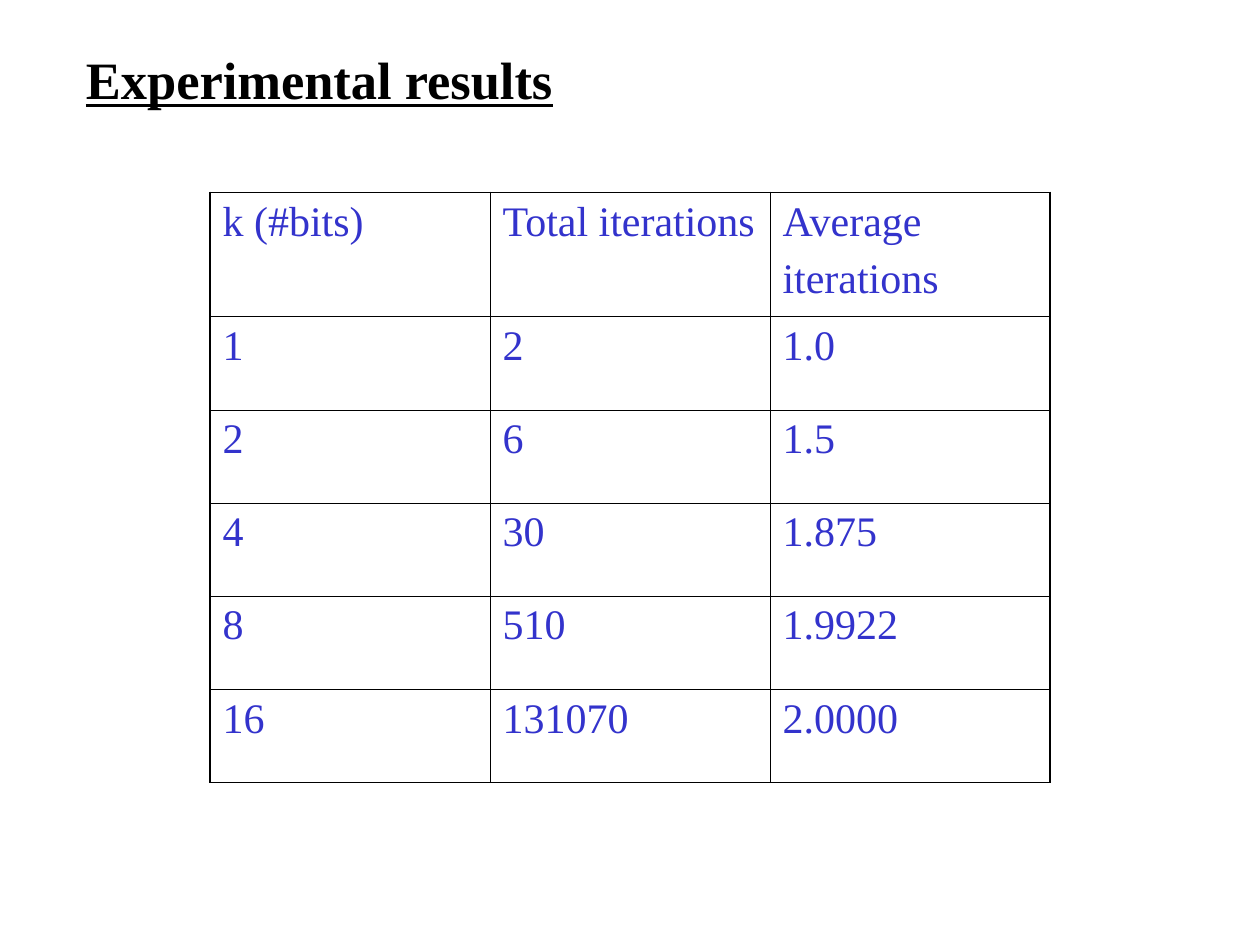
from pptx import Presentation
from pptx.dml.color import RGBColor
from pptx.enum.text import MSO_ANCHOR
from pptx.oxml.ns import qn
from pptx.util import Pt
from lxml.etree import SubElement

BLACK = RGBColor(0x00, 0x00, 0x00)
BLUE = RGBColor(0x33, 0x33, 0xCC)

RESULTS = [
    ("k (#bits)", "Total iterations", "Average\niterations"),
    ("1", "2", "1.0"),
    ("2", "6", "1.5"),
    ("4", "30", "1.875"),
    ("8", "510", "1.9922"),
    ("16", "131070", "2.0000"),
]


class SlideBuilder:
    font_name = "Times New Roman"
    inner_line = Pt(0.45)
    outer_line = Pt(1.08)

    def __init__(self, page):
        self.page = page

    def style(self, para, size, color):
        para.font.name = self.font_name
        para.font.size = Pt(size)
        para.font.color.rgb = color

    def title(self, text, left, top, width, height):
        box = self.page.shapes.add_textbox(Pt(left), Pt(top), Pt(width), Pt(height))
        frame = box.text_frame
        frame.word_wrap = True
        frame.vertical_anchor = MSO_ANCHOR.MIDDLE
        para = frame.paragraphs[0]
        para.text = text
        self.style(para, 30, BLACK)
        para.font.bold = True
        para.font.underline = True

    def border(self, cell, side, width):
        properties = cell._tc.get_or_add_tcPr()
        line = SubElement(properties, qn(f"a:{side}"), w=str(width))
        fill = SubElement(line, qn("a:solidFill"))
        SubElement(fill, qn("a:srgbClr"), val=str(BLACK))

    def table(self, rows, left, top, width, header_height, row_height):
        last_row, last_column = len(rows) - 1, len(rows[0]) - 1
        height = header_height + last_row * row_height
        frame = self.page.shapes.add_table(
            len(rows), len(rows[0]), Pt(left), Pt(top), Pt(width), Pt(height))
        table = frame.table
        table.first_row = False
        table.horz_banding = False
        for r, values in enumerate(rows):
            table.rows[r].height = Pt(row_height if r else header_height)
            for c, text in enumerate(values):
                cell = table.cell(r, c)
                cell.text = text
                for para in cell.text_frame.paragraphs:
                    self.style(para, 24, BLUE)
                    para.space_before = Pt(6)
                edges = {"lnL": c == 0, "lnR": c == last_column,
                         "lnT": r == 0, "lnB": r == last_row}
                for side, is_outer in edges.items():
                    self.border(cell, side, self.outer_line if is_outer else self.inner_line)
                cell.fill.background()


def main():
    deck = Presentation()
    deck.slide_width, deck.slide_height = Pt(720), Pt(540)
    builder = SlideBuilder(deck.slides.add_slide(deck.slide_layouts[6]))
    builder.title("Experimental results", 42, 24, 636, 42)
    builder.table(RESULTS, 120, 110, 480, 71, 53.25)
    deck.save("out.pptx")


if __name__ == "__main__":
    main()
